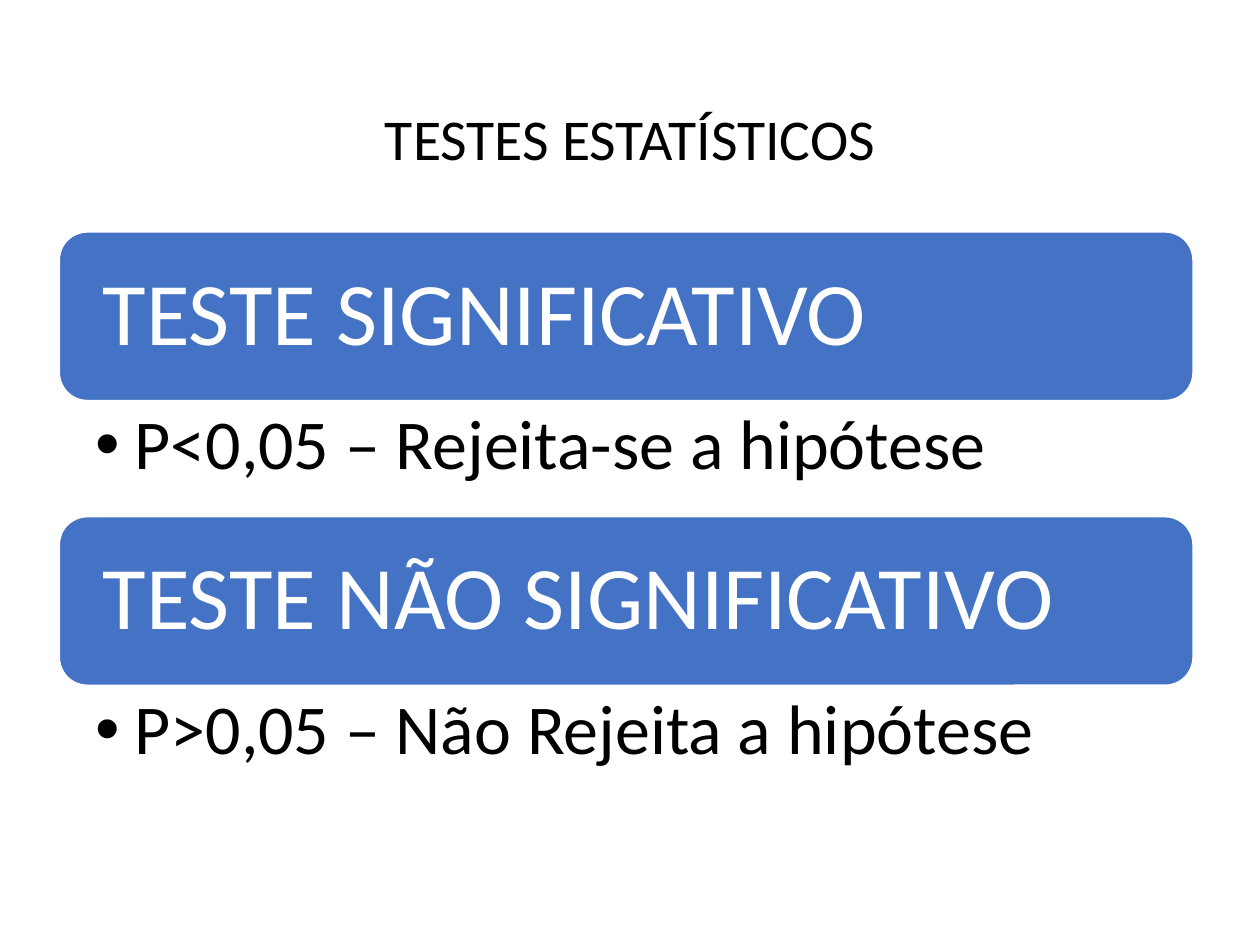
from lxml import etree
from pptx import Presentation
from pptx.dml.color import RGBColor
from pptx.enum.shapes import MSO_SHAPE
from pptx.enum.text import MSO_ANCHOR, MSO_AUTO_SIZE, PP_ALIGN
from pptx.oxml.ns import qn
from pptx.util import Inches, Pt

BLUE = RGBColor(0x44, 0x72, 0xC4)
WHITE = RGBColor(255, 255, 255)
BLACK = RGBColor(0, 0, 0)
ROUND = MSO_SHAPE.ROUNDED_RECTANGLE
MIDDLE, TOP = MSO_ANCHOR.MIDDLE, MSO_ANCHOR.TOP
LEFT, CENTER = PP_ALIGN.LEFT, PP_ALIGN.CENTER
NO_FIT = MSO_AUTO_SIZE.NONE

# Rows stack without gaps: bar, list, bar, list
EDGE, START, WIDTH = 0.47, 1.84, 9
BAR_H, LIST_H = 1.34, 0.92
INDENT = Inches(0.31)

TESTS = [
    ("TESTE SIGNIFICATIVO", "P<0,05 – Rejeita-se a hipótese"),
    ("TESTE NÃO SIGNIFICATIVO", "P>0,05 – Não Rejeita a hipótese"),
]


def apply(item, values):
    for name, value in values.items():
        setattr(item, name, value)


def place(shape, left, top, width, height):
    apply(shape, {"left": Inches(left), "top": Inches(top),
                  "width": Inches(width), "height": Inches(height)})


def write(shape, text, size, color, align=LEFT, anchor=MIDDLE,
          inset=(0.1, 0.05, 0.1, 0.05), after=0):
    """Set the shape's text as one formatted paragraph and return it."""
    frame = shape.text_frame
    frame.text = text
    sides = ("margin_left", "margin_top", "margin_right", "margin_bottom")
    apply(frame, {"word_wrap": True, "auto_size": NO_FIT,
                  "vertical_anchor": anchor})
    apply(frame, {side: Inches(gap) for side, gap in zip(sides, inset)})
    para = frame.paragraphs[0]
    apply(para, {"alignment": align, "line_spacing": 0.9,
                 "space_before": Pt(0), "space_after": Pt(after)})
    font = para.runs[0].font
    apply(font, {"name": "Calibri", "size": Pt(size)})
    font.color.rgb = color
    return para


def add_bar(slide, top, text):
    bar = slide.shapes.add_shape(ROUND, Inches(EDGE), Inches(top),
                                 Inches(WIDTH), Inches(BAR_H))
    bar.shadow.inherit = False
    bar.fill.solid()
    bar.fill.fore_color.rgb = BLUE
    bar.line.color.rgb = WHITE
    bar.line.width = Pt(1)
    write(bar, text, 51, WHITE, inset=(0.28, 0.21, 0.28, 0.21), after=18)


def fill_list(body, top, text):
    place(body, EDGE, top, WIDTH, LIST_H)
    para = write(body, text, 40, BLACK, anchor=TOP,
                 inset=(0.29, 0.07, 0.4, 0.07), after=8)
    para.level = 1
    props = para._p.get_or_add_pPr()
    props.set("marL", str(INDENT))
    props.set("indent", str(-INDENT))
    etree.SubElement(props, qn("a:buChar")).set("char", "•")


def main():
    deck = Presentation()
    apply(deck, {"slide_width": Inches(10), "slide_height": Inches(7.5)})
    slide = deck.slides.add_slide(deck.slide_layouts[3])
    title, *bodies = slide.placeholders
    place(title, 0.69, 0.4, 8.62, 1.45)
    write(title, "TESTES ESTATÍSTICOS", 33, BLACK, CENTER)
    for row, (body, (head, note)) in enumerate(zip(bodies, TESTS)):
        top = START + row * (BAR_H + LIST_H)
        add_bar(slide, top, head)
        fill_list(body, top + BAR_H, note)
    deck.save("out.pptx")


if __name__ == "__main__":
    main()
